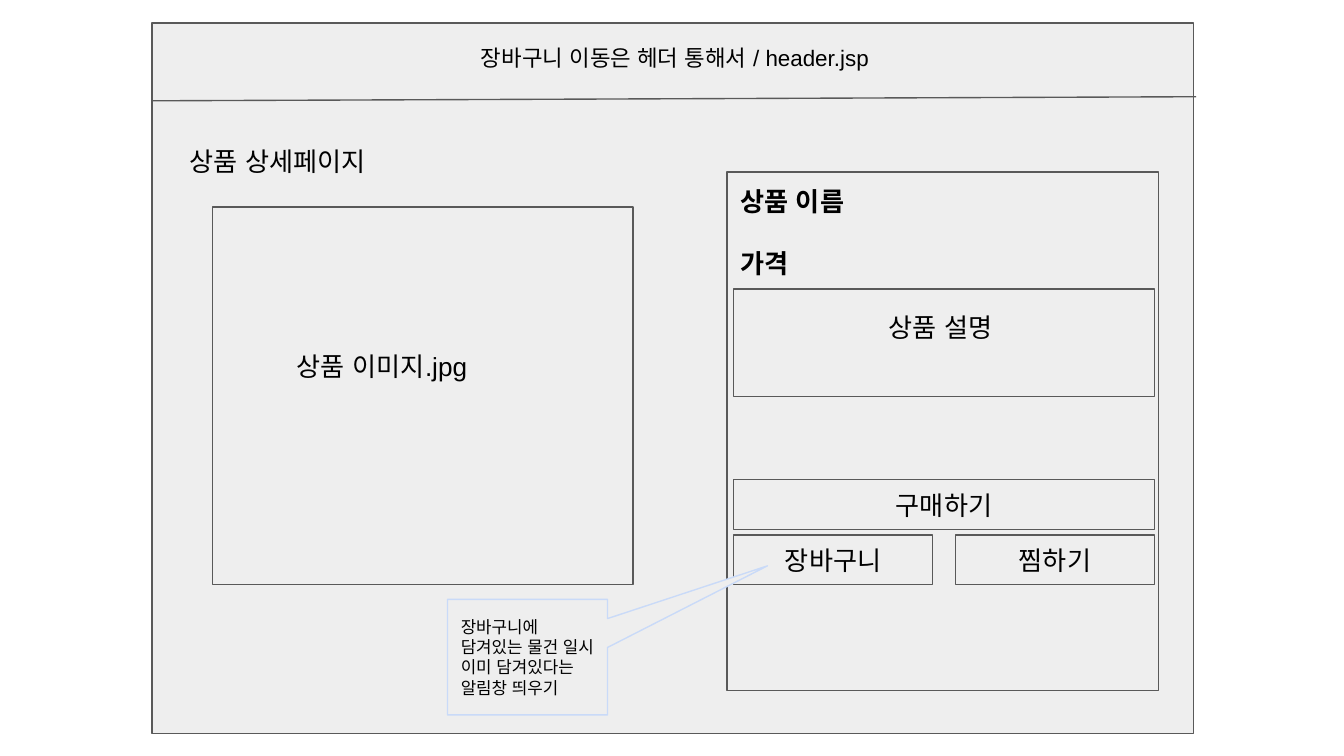
from pptx import Presentation
from pptx.dml.color import RGBColor
from pptx.enum.shapes import MSO_CONNECTOR as Link, MSO_SHAPE as Kind
from pptx.enum.text import MSO_ANCHOR as Anchor, MSO_AUTO_SIZE as Fit, PP_ALIGN as Align
from pptx.oxml.ns import qn
from pptx.util import Inches, Pt
from lxml import etree

COLOR = {"fill": "EEEEEE", "line": "595959", "note": "C9DAF8", "text": "000000"}
FONT = "Arial"

# Content
TITLE = "상품 상세페이지"
HEADER = "장바구니 이동은 헤더 통해서 / header.jsp"
IMAGE = "상품 이미지.jpg"
INFO = ["상품 이름", "가격"]
DESC = "상품 설명 "
BUY = "구매하기"
PAIR = ["장바구니", "찜하기"]
NOTE = "장바구니에 담겨있는 물건 일시 이미 담겨있다는 알림창 띄우기"

# Column of controls inside the info panel
LEFT, WIDE, HIGH = 5.46, 3.13, 0.37
HALF = 1.48
STEP = WIDE - HALF


def rgb(name):
    return RGBColor.from_string(COLOR[name])


def write(shape, lines, size=14, align=Align.LEFT, anchor=Anchor.TOP, bold=False):
    frame = shape.text_frame
    frame.text = "\n".join(lines)
    frame.word_wrap = True
    frame.auto_size = Fit.NONE
    frame.vertical_anchor = anchor
    frame.margin_left = frame.margin_right = Inches(0.1)
    frame.margin_top = frame.margin_bottom = Inches(0.1)
    for para in frame.paragraphs:
        para.alignment = align
        font = para.font
        font.name, font.size, font.bold = FONT, Pt(size), bold
        font.color.rgb = rgb("text")
    # Korean letters and their spaces take the same font
    for props in shape.element.iter(qn("a:defRPr")):
        etree.SubElement(props, qn("a:ea"), typeface=FONT)
    return frame


def box(area, kind=Kind.RECTANGLE, line="line"):
    shape = slide.shapes.add_shape(kind, *map(Inches, area))
    shape.shadow.inherit = False
    shape.fill.solid()
    shape.fill.fore_color.rgb = rgb("fill")
    shape.line.color.rgb = rgb(line)
    shape.line.width = Pt(0.75)
    return shape


def button(area, text):
    return write(box(area), [text], align=Align.CENTER, anchor=Anchor.MIDDLE)


def label(area, text, size=14):
    write(slide.shapes.add_textbox(*map(Inches, area)), [text], size)


# Widescreen slide, 16 to 9
deck = Presentation()
deck.slide_width = Inches(10)
deck.slide_height = deck.slide_width * 9 // 16
slide = deck.slides.add_slide(deck.slide_layouts[5])

# Page frame and product image
box((1.13, 0.17, 7.75, 5.29))
box((1.58, 1.54, WIDE, 2.81))

# Page title, brought in front of the frame
title = slide.shapes.title
title.left, title.top, title.width, title.height = map(Inches, (1.31, 0.98, 7.39, 0.44))
write(title, [TITLE])
title.element.getparent().append(title.element)

# Info panel with name and price
info = write(box((5.41, 1.28, 3.21, 3.86)), INFO, bold=True)
info.paragraphs[1].space_before = Pt(16.6)
label((2.11, 2.51, 2.07, 0.44), IMAGE)

# Description, sitting above the middle of its box
desc = button((LEFT, 2.15, WIDE, 0.8), DESC)
desc.margin_bottom = Inches(0.33)

# Buttons
button((LEFT, 3.57, WIDE, HIGH), BUY)
for i, text in enumerate(PAIR):
    button((LEFT + i * STEP, 3.98, HALF, HIGH), text)

# Callout pointing at the cart button
note = box((3.33, 4.46, 1.19, 0.86), Kind.RECTANGULAR_CALLOUT, "note")
note.adjustments[0], note.adjustments[1] = 1.5, -0.79
write(note, [NOTE], 9, anchor=Anchor.MIDDLE)

# Header text and rule
label((3.48, 0.23, 3.29, 0.4), HEADER, 12)
rule = slide.shapes.add_connector(Link.STRAIGHT, *map(Inches, (1.13, 0.75, 8.9, 0.72)))
rule.line.color.rgb = rgb("line")
rule.line.width = Pt(0.75)
etree.SubElement(rule.element.spPr, qn("a:effectLst"))

deck.save("out.pptx")
